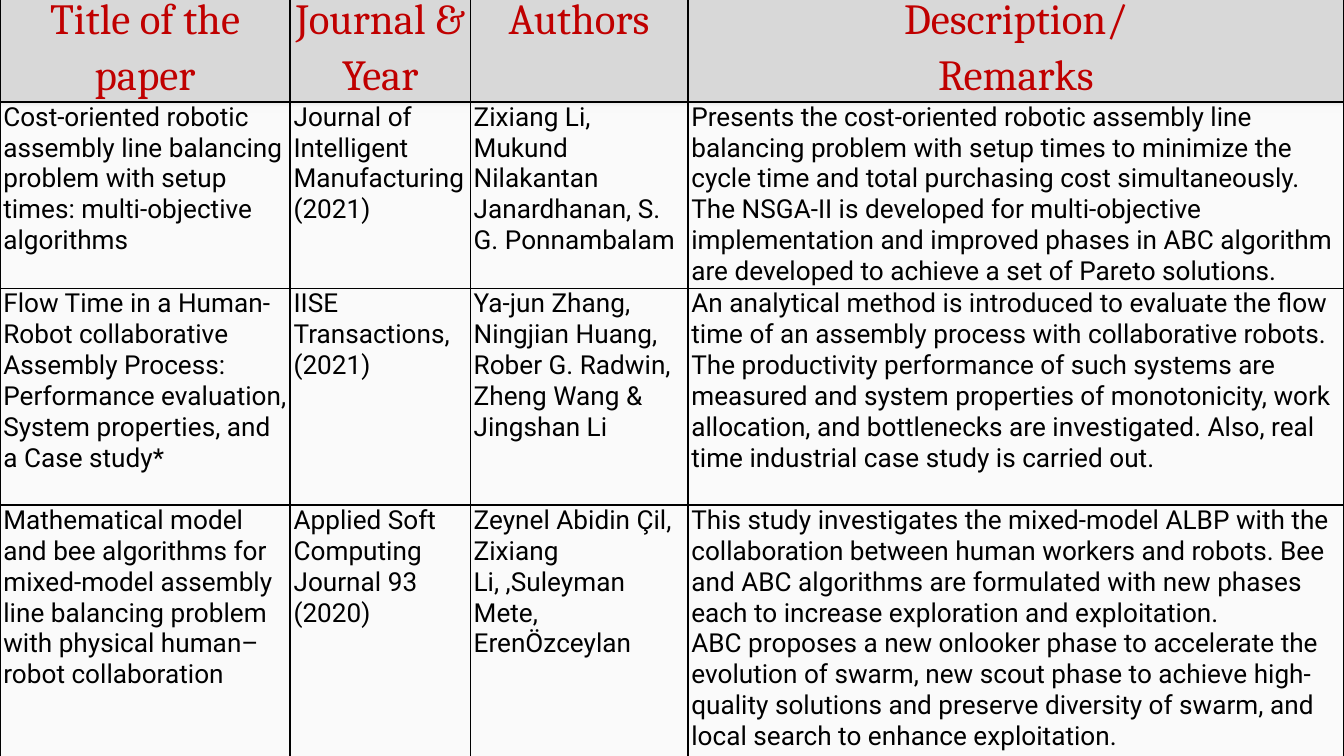
from lxml import etree
from pptx import Presentation, util as u
from pptx.dml.color import RGBColor
from pptx.enum import shapes, text
from pptx.oxml import ns

SKY = RGBColor(0x42, 0x85, 0xF4)
PAPER = RGBColor(0xFA, 0xFA, 0xFA)
HEADER_GREY = RGBColor(0xD8, 0xD8, 0xD8)
HEADER_RED = RGBColor(0xC0, 0x00, 0x00)
BLACK = RGBColor(0x00, 0x00, 0x00)
EDGE_STOPS = [(0, "F9F9F9"), (36, "F9F9F9"), (80, "DEDEDE"), (100, "999999")]

WIDTH = 10
HEIGHT = WIDTH * 9 / 16
COLUMNS = [2.16, 1.34, 1.62, 4.88]
ROWS = [0.84, 1.39, 1.61, 1.95]
HEADINGS = ["Title of the paper", "Journal & Year", "Authors", "Description/\nRemarks"]
PAPERS = [
    [
        "Cost‑oriented robotic assembly line balancing problem with setup times: "
        "multi‑objective algorithms",
        "Journal of Intelligent Manufacturing (2021)",
        "Zixiang Li, Mukund Nilakantan Janardhanan, S. G. Ponnambalam",
        "Presents the cost-oriented robotic assembly line balancing problem with setup "
        "times to minimize the cycle time and total purchasing cost simultaneously.\n"
        "The NSGA-II is developed for multi-objective implementation and improved phases "
        "in ABC algorithm are developed to achieve a set of Pareto solutions.",
    ],
    [
        "Flow Time in a Human-Robot collaborative Assembly Process: Performance "
        "evaluation, System properties, and a Case study*",
        "IISE Transactions, (2021)",
        "Ya-jun Zhang, Ningjian Huang, Rober G. Radwin, Zheng Wang & Jingshan Li",
        "An analytical method is introduced to evaluate the flow time of an assembly "
        "process with collaborative robots. The productivity performance of such systems "
        "are measured and system properties of monotonicity, work allocation, and "
        "bottlenecks are investigated. Also, real time industrial case study is carried out.",
    ],
    [
        "Mathematical model and bee algorithms for mixed-model assembly line balancing "
        "problem with physical human–robot collaboration",
        "Applied Soft Computing Journal 93 (2020)",
        "Zeynel Abidin Çil, Zixiang Li, ,Suleyman Mete, ErenÖzceylan",
        "This study investigates the mixed-model ALBP with the collaboration between human "
        "workers and robots. Bee and ABC algorithms are formulated with new phases each to "
        "increase exploration and exploitation.\n"
        "ABC proposes a new onlooker phase to accelerate the evolution of swarm, new scout "
        "phase to achieve high-quality solutions and preserve diversity of swarm, and local "
        "search to enhance exploitation.",
    ],
]


def add_panel(slide, left, top, width, height):
    """Add a plain rectangle without line or shadow."""
    panel = slide.shapes.add_shape(
        shapes.MSO_SHAPE.RECTANGLE, *map(u.Inches, (left, top, width, height)))
    panel.shadow.inherit = False
    panel.line.fill.background()
    return panel


def add_backdrop(slide, left, top, width, height):
    """Lay the pale sheet with a shaded strip along its top edge."""
    sheet = add_panel(slide, left, top, width, height)
    sheet.fill.solid()
    sheet.fill.fore_color.rgb = PAPER
    edge = add_panel(slide, left, top, width, 0.12)
    edge.fill.gradient()
    edge.fill.gradient_angle = 90
    stops = edge.element.spPr.find(".//" + ns.qn("a:gsLst"))
    for stop in list(stops):
        stops.remove(stop)
    for share, shade in EDGE_STOPS:
        stop = etree.SubElement(stops, ns.qn("a:gs"), pos=str(share * 1000))
        etree.SubElement(stop, ns.qn("a:srgbClr"), val=shade)


def add_borders(cell):
    """Draw a one-point black line on all four sides of a cell."""
    properties = cell._tc.get_or_add_tcPr()
    for side in ("a:lnL", "a:lnR", "a:lnT", "a:lnB"):
        line = etree.SubElement(properties, ns.qn(side), w=str(u.Pt(1)))
        fill = etree.SubElement(line, ns.qn("a:solidFill"))
        etree.SubElement(fill, ns.qn("a:srgbClr"), val=str(BLACK))


def fill_cell(cell, wording, is_header):
    """Write one cell and style it as a heading or a body entry."""
    cell.margin_left = cell.margin_right = u.Pt(1.8)
    cell.margin_top = cell.margin_bottom = 0
    add_borders(cell)
    if is_header:
        cell.fill.solid()
        cell.fill.fore_color.rgb = HEADER_GREY
    else:
        cell.fill.background()
    cell.text_frame.text = wording
    for paragraph in cell.text_frame.paragraphs:
        if is_header:
            paragraph.alignment = text.PP_ALIGN.CENTER
            paragraph.line_spacing = 1.15
        for run in paragraph.runs:
            run.font.name = "Cambria" if is_header else "Roboto"
            run.font.size = u.Pt(23 if is_header else 14)
            run.font.bold = False
            run.font.color.rgb = HEADER_RED if is_header else BLACK


def add_review_table(slide, left, top, width, height):
    """Place the literature table, its grid scaled to the given box."""
    table = slide.shapes.add_table(
        len(ROWS), len(COLUMNS), *map(u.Inches, (left, top, width, height))).table
    table.first_row = table.horz_banding = False
    for column, share in zip(table.columns, COLUMNS):
        column.width = u.Inches(width * share / sum(COLUMNS))
    for row, share in zip(table.rows, ROWS):
        row.height = u.Inches(height * share / sum(ROWS))
    for row_index, entries in enumerate([HEADINGS, *PAPERS]):
        for column_index, wording in enumerate(entries):
            fill_cell(table.cell(row_index, column_index), wording, row_index == 0)


def main():
    """Build and save the literature review slide."""
    deck = Presentation()
    deck.slide_width, deck.slide_height = u.Inches(WIDTH), u.Inches(HEIGHT)
    slide = deck.slides.add_slide(deck.slide_layouts[6])
    slide.background.fill.solid()
    slide.background.fill.fore_color.rgb = SKY
    add_backdrop(slide, 0, 0.72, WIDTH, HEIGHT - 0.72)
    add_review_table(slide, 0, -0.09, WIDTH, sum(ROWS))
    deck.save("out.pptx")


if __name__ == "__main__":
    main()
